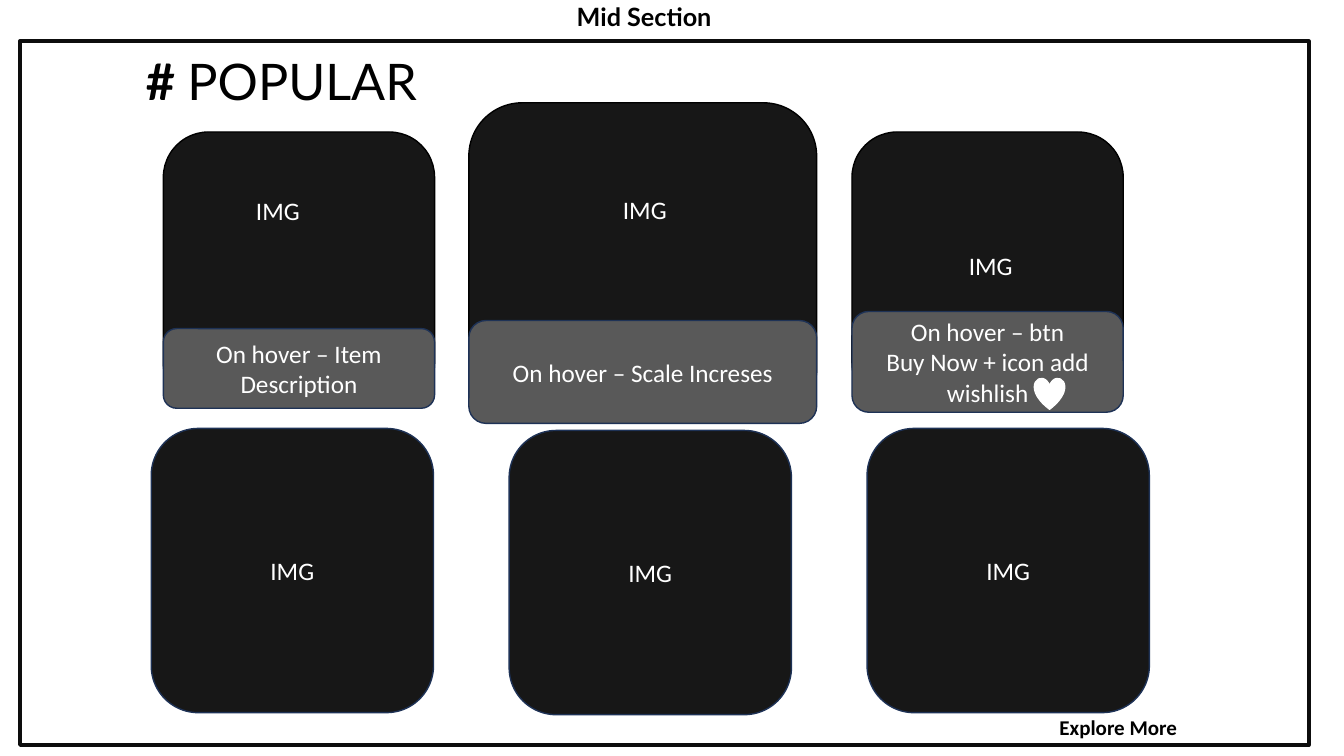
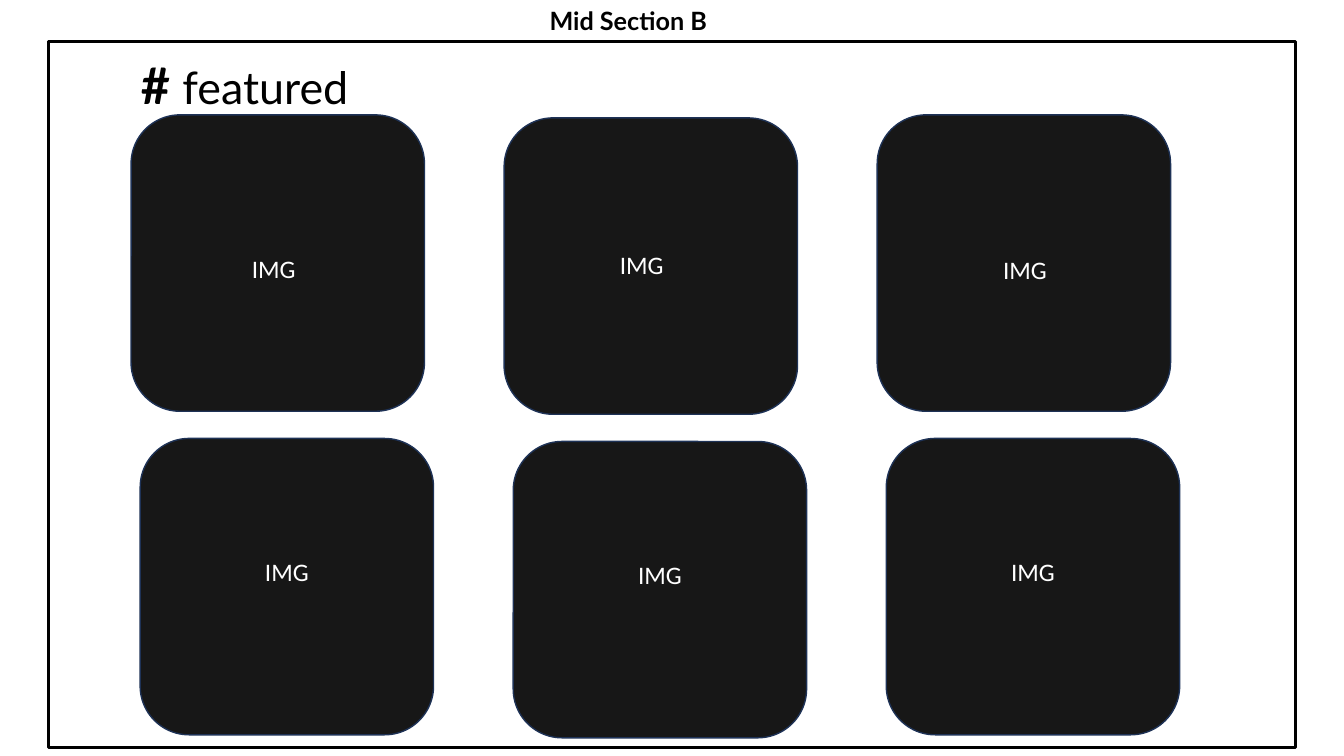
import pptx
import pptx.util
from pptx.dml.color import RGBColor
from pptx.enum.shapes import MSO_SHAPE
from pptx.enum.text import MSO_ANCHOR, MSO_AUTO_SIZE, PP_ALIGN
from pptx.util import Inches

# Colours
BLACK = RGBColor(0x00, 0x00, 0x00)
WHITE = RGBColor(0xFF, 0xFF, 0xFF)
FRAME_DARK = RGBColor(0x0D, 0x0D, 0x0D)
CARD_FILL = RGBColor(0x17, 0x17, 0x17)
CAPTION_FILL = RGBColor(0x59, 0x59, 0x59)
NAVY = RGBColor(0x1E, 0x32, 0x56)

# Text styles: font values, then colour
TITLE = ({"name": "Lato", "size": pptx.util.Pt(18), "bold": True}, BLACK)
HASH = ({"name": "Lato", "size": pptx.util.Pt(36), "bold": True}, BLACK)
HEADING_LARGE = ({**HASH[0], "bold": False}, BLACK)
HEADING_SMALL = ({**HEADING_LARGE[0], "size": pptx.util.Pt(32)}, BLACK)
LABEL = ({"name": "Calibri", "size": pptx.util.Pt(18), "bold": False}, WHITE)
LINK = ({"name": "Calibri", "size": pptx.util.Pt(15), "bold": True}, BLACK)

TITLE_ONLY = 5
LABEL_SIZE = (0.99, 0.4)


def inches(box):
    return [Inches(length) for length in box]


def add_run(paragraph, text, style):
    values, colour = style
    run = paragraph.add_run()
    run.text = text
    for name, value in values.items():
        setattr(run.font, name, value)
    run.font.color.rgb = colour


def add_slide(presentation, title, box):
    """Add a slide with its small title above the frame."""
    slide = presentation.slides.add_slide(presentation.slide_layouts[TITLE_ONLY])
    shape = slide.shapes.title
    shape.left, shape.top, shape.width, shape.height = inches(box)
    frame = shape.text_frame
    layout = {"word_wrap": True, "vertical_anchor": MSO_ANCHOR.TOP,
              "auto_size": MSO_AUTO_SIZE.NONE}
    for name, value in layout.items():
        setattr(frame, name, value)
    frame.paragraphs[0].alignment = PP_ALIGN.LEFT
    add_run(frame.paragraphs[0], title, TITLE)
    return slide


def add_text(slide, box, runs, wrap=True):
    frame = slide.shapes.add_textbox(*inches(box)).text_frame
    frame.word_wrap = wrap
    for text, style in runs:
        add_run(frame.paragraphs[0], text, style)


def add_box(slide, box, fill, line, width=1, kind=MSO_SHAPE.ROUNDED_RECTANGLE,
            lines=(), bottom=0.05):
    """Add a filled or hollow shape with centred lines of label text."""
    shape = slide.shapes.add_shape(kind, *inches(box))
    shape.shadow.inherit = False
    if fill is None:
        shape.fill.background()
    else:
        shape.fill.solid()
        shape.fill.fore_color.rgb = fill
    shape.line.color.rgb = line
    shape.line.width = pptx.util.Pt(width)
    frame = shape.text_frame
    frame.word_wrap = True
    frame.vertical_anchor = MSO_ANCHOR.MIDDLE
    frame.margin_bottom = Inches(bottom)
    for index, text in enumerate(lines):
        paragraph = frame.add_paragraph() if index else frame.paragraphs[0]
        paragraph.alignment = PP_ALIGN.CENTER
        add_run(paragraph, text, LABEL)


def add_card_row(slide, left, top, pitch, size, drop, **text):
    """Add three equal cards, the middle one slightly lower."""
    for column in range(3):
        card_top = top + drop * (column == 1)
        add_box(slide, (left + column * pitch, card_top, *size), CARD_FILL, NAVY, **text)


def add_image_labels(slide, positions):
    for position in positions:
        add_text(slide, (*position, *LABEL_SIZE), [("IMG", LABEL)])


def build_popular(presentation):
    slide = add_slide(presentation, "Mid Section", (5.62, -0.04, 2.08, 0.4))

    # Cards with hover captions: left, width, card top and height, caption top and height
    columns = [
        (1.62, 2.69, 1.31, 2.74, 3.26, 0.79, ["On hover – Item Description"]),
        (4.65, 3.45, 1.02, 3.17, 3.18, 1.02, ["On hover – Scale Increses"]),
        (8.45, 2.69, 1.31, 2.74, 3.09, 1.0,
         ["On hover – btn", "Buy Now + icon add wishlish"]),
    ]
    for left, width, top, height, caption_top, caption_height, lines in columns:
        add_box(slide, (left, top, width, height), CARD_FILL, BLACK)
        add_box(slide, (left, caption_top, width, caption_height),
                CAPTION_FILL, NAVY, lines=lines)
    add_box(slide, (10.26, 3.75, 0.3, 0.31), WHITE, WHITE, kind=MSO_SHAPE.HEART)
    add_image_labels(slide, [(2.44, 1.89), (6.08, 1.88), (9.51, 2.43)])

    # Lower row
    add_card_row(slide, 1.5, 4.25, 3.55, (2.8, 2.82), 0.02, lines=["IMG"])

    # Frame, heading and link
    add_box(slide, (0.2, 0.41, 12.78, 6.98), None, FRAME_DARK, 3, MSO_SHAPE.RECTANGLE)
    add_text(slide, (1.35, 0.45, 4.73, 0.71), [("# ", HASH), ("POPULAR", HEADING_LARGE)])
    add_text(slide, (10.41, 7.04, 1.53, 0.35), [("Explore More", LINK)], wrap=False)


def build_featured(presentation):
    slide = add_slide(presentation, "Mid Section B", (5.35, 0, 1.77, 0.4))

    # Two rows of cards
    size = (2.91, 2.94)
    add_card_row(slide, 1.3, 1.14, 3.7, size, 0.03)
    add_image_labels(slide, [(2.4, 2.46), (6.05, 2.42), (9.85, 2.47)])
    add_card_row(slide, 1.39, 4.35, 3.7, size, 0.03, lines=["IMG"], bottom=0.35)

    # Frame and heading
    add_box(slide, (0.48, 0.41, 12.37, 7.01), None, BLACK, 2.25, MSO_SHAPE.RECTANGLE)
    add_text(slide, (1.3, 0.49, 4.94, 0.71), [("# ", HASH), ("featured", HEADING_SMALL)])


def main():
    presentation = pptx.Presentation()
    presentation.slide_width = Inches(13.33)
    presentation.slide_height = Inches(7.5)
    build_popular(presentation)
    build_featured(presentation)
    presentation.save("out.pptx")


if __name__ == "__main__":
    main()
